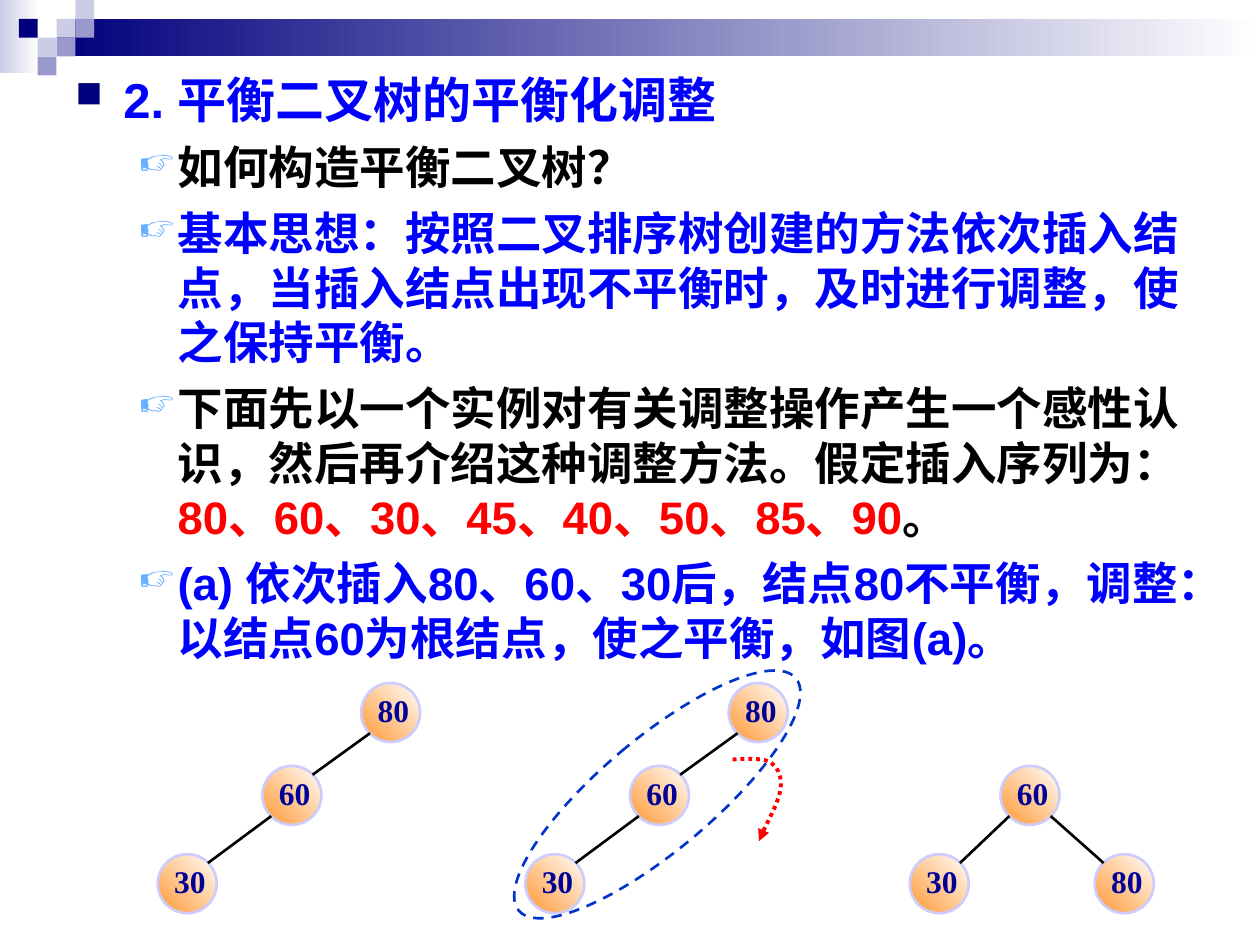
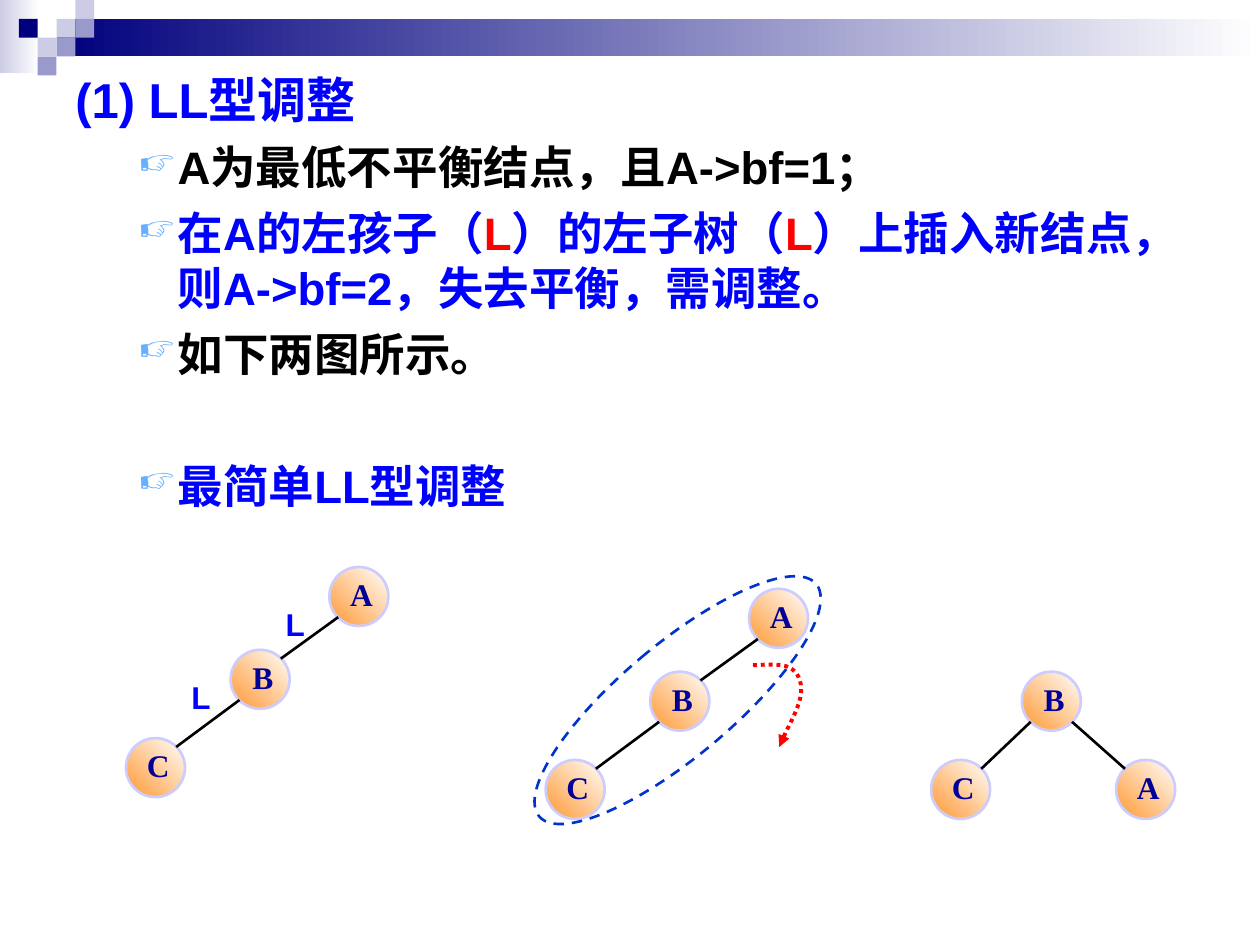
import pptx
import pptx.dml.color
import pptx.enum.dml
import pptx.enum.shapes
import pptx.enum.text
import pptx.oxml.ns
import pptx.util
import lxml.etree

Cm, Pt, qn = pptx.util.Cm, pptx.util.Pt, pptx.oxml.ns.qn
SHAPE = pptx.enum.shapes.MSO_SHAPE
DASH = pptx.enum.dml.MSO_LINE
ALIGN = pptx.enum.text

# Colours
NAVY, LILAC, MAUVE, WHITE = "00007D", "CCCCE6", "9999CC", "FFFFFF"
BLUE, BLACK, RED, SKY = "0000FF", "000000", "FF0000", "67AFFF"
ORANGE, RIM, INK, OVAL = "FF9933", "CCCCFF", "000099", "0033CC"

# Sizes in centimetres
SQUARE = 0.38
NODE = 1.19
NEAR, FAR = 0.15 * NODE, 0.85 * NODE  # where edges touch a node

# Control points of the turning arrow, measured from its start
TURN = [(0.13, 0), (0.56, -0.05), (0.74, 0.05),
        (0.89, 0.13), (0.99, 0.3), (0.97, 0.56),
        (0.94, 0.84), (0.61, 1.42), (0.53, 1.65)]


def hue(code):
    return pptx.dml.color.RGBColor.from_string(code)


def child(node, tag, **attrs):
    return lxml.etree.SubElement(node, qn(tag), attrs)


class Deck:
    def __init__(self):
        self.file = pptx.Presentation()
        self.file.slide_width, self.file.slide_height = Cm(25.4), Cm(19.05)

    def page(self):
        """Start a slide with the shared band and squares."""
        self.slide = self.file.slides.add_slide(self.file.slide_layouts[6])
        self.shapes = self.slide.shapes
        self.block(0, 0, 0.79, 1.47, LILAC, WHITE)
        self.block(1.14, 0.38, 24.26, 0.76, NAVY, WHITE)
        for col, row, tint in [(3, 1, LILAC), (4, 0, LILAC), (4, 1, MAUVE),
                               (2, 2, LILAC), (1, 1, NAVY), (3, 2, MAUVE),
                               (2, 3, MAUVE)]:
            self.block(col * SQUARE, row * SQUARE, SQUARE, SQUARE, tint)

    def block(self, x, y, w, h, tint, fade=None, kind=SHAPE.RECTANGLE, angle=0):
        shape = self.shapes.add_shape(kind, Cm(x), Cm(y), Cm(w), Cm(h))
        shape.shadow.inherit = False
        shape.line.fill.background()
        if fade:
            shape.fill.gradient()
            shape.fill.gradient_angle = angle
            for stop, code in zip(shape.fill.gradient_stops, (tint, fade)):
                stop.color.rgb = hue(code)
        elif tint:
            shape.fill.solid()
            shape.fill.fore_color.rgb = hue(tint)
        else:
            shape.fill.background()
        return shape

    def stroke(self, line, tint, width=1.5, dash=None):
        line.color.rgb = hue(tint)
        line.width = Pt(width)
        if dash:
            line.dash_style = dash

    def style(self, run, size, tint, face="Arial"):
        run.font.name, run.font.size, run.font.bold = face, Pt(size), True
        run.font.color.rgb = hue(tint)

    # Text
    def mark(self, para, left, hang, sign=None, tint=None, size=None):
        """Set the indent and, if there is a sign, the bullet."""
        props = para._p.get_or_add_pPr()
        props.set("marL", str(Cm(left)))
        props.set("indent", str(-Cm(hang)))
        if sign:
            child(child(props, "a:buClr"), "a:srgbClr", val=tint)
            child(props, "a:buSzPct", val=str(size * 1000))
            child(props, "a:buChar", char=sign)

    def body(self, head, square, points):
        """Write a heading and its points, each (gap, runs)."""
        box = self.shapes.add_textbox(Cm(1.27), Cm(1.27), Cm(22.86), Cm(17.78))
        frame = box.text_frame
        frame.word_wrap = True
        frame.text = head
        first = frame.paragraphs[0]
        self.mark(first, 0.97, 0.97, "■" if square else None, NAVY, 75)
        self.style(first.runs[0], 28, BLUE)
        for gap, parts in points:
            para = frame.add_paragraph()
            para.level = 1
            self.mark(para, 2.06, 0.79, "☞", SKY, 80)
            para.space_before = Pt(gap)
            for words, tint in parts:
                run = para.add_run()
                run.text = words
                self.style(run, 26, tint)

    def label(self, x, y, words):
        box = self.shapes.add_textbox(Cm(x), Cm(y), Cm(0.89), Cm(1.02))
        box.text_frame.word_wrap = False
        box.text_frame.text = words
        self.style(box.text_frame.paragraphs[0].runs[0], 18, BLUE)

    # Trees
    def node(self, x, y, name):
        ball = self.block(x, y, NODE, NODE, ORANGE, WHITE, SHAPE.OVAL, 45)
        self.stroke(ball.line, RIM)
        frame = ball.text_frame
        frame.word_wrap = False
        frame.vertical_anchor = ALIGN.MSO_ANCHOR.MIDDLE
        frame.margin_left, frame.margin_top = Cm(0.36), Cm(0.03)
        frame.margin_right, frame.margin_bottom = Cm(0.25), Cm(0.13)
        frame.text = name
        frame.paragraphs[0].alignment = ALIGN.PP_ALIGN.CENTER
        self.style(frame.paragraphs[0].runs[0], 18, INK, "Times New Roman")

    def edge(self, low, high):
        """Join a lower node to its parent at their facing corners."""
        start, end = (FAR, NEAR) if low[0] < high[0] else (NEAR, FAR)
        line = self.shapes.add_connector(
            pptx.enum.shapes.MSO_CONNECTOR.STRAIGHT,
            Cm(low[0] + start), Cm(low[1] + NEAR),
            Cm(high[0] + end), Cm(high[1] + FAR))
        self.stroke(line.line, BLACK)
        child(line._element.spPr, "a:effectLst")

    def tree(self, x, y, names, steps, links):
        spots = [(x + dx, y + dy) for dx, dy in steps]
        for name, spot in zip(names, spots):
            self.node(*spot, name)
        for low, high in links:
            self.edge(spots[low], spots[high])

    def chain(self, x, y, names):
        """Left-leaning tree, named from the bottom up."""
        steps = [(0, 0), (2.11, -1.78), (4.1, -3.45)]
        self.tree(x, y, names, steps, [(0, 1), (1, 2)])

    def fork(self, x, y, names):
        """Balanced tree, named left, root, right."""
        steps = [(0, 0), (1.83, -1.78), (3.73, 0)]
        self.tree(x, y, names, steps, [(0, 1), (2, 1)])

    def turn(self, x, y, names):
        """Left-leaning tree inside a dashed oval with a turning arrow."""
        self.chain(x, y, names)
        oval = self.block(x + 1.53, y - 4.85, 2.26, 7.29, None, kind=SHAPE.OVAL)
        oval.rotation = 50
        self.stroke(oval.line, OVAL, dash=DASH.DASH)
        self.arrow(x + 4.18, y - 1.91)

    def arrow(self, x, y):
        pen = self.shapes.build_freeform(Cm(x), Cm(y))
        pen.add_line_segments([(Cm(x + dx), Cm(y + dy)) for dx, dy in TURN],
                              close=False)
        curve = pen.convert_to_shape()
        curve.shadow.inherit = False
        curve.fill.background()
        self.stroke(curve.line, RED, 2.25, DASH.ROUND_DOT)
        child(curve.line._get_or_add_ln(), "a:tailEnd", type="triangle")
        # Turn each three points into one curve
        track = next(curve._element.iter(qn("a:path")))
        legs = track.findall(qn("a:lnTo"))
        for i in range(0, len(legs), 3):
            bend = child(track, "a:cubicBezTo")
            for leg in legs[i:i + 3]:
                bend.append(leg[0])
                track.remove(leg)


def main():
    deck = Deck()
    gap, wide = 6.5, 44.2

    # Balancing by example
    deck.page()
    deck.body("2. 平衡二叉树的平衡化调整", True, [
        (gap, [("如何构造平衡二叉树？", BLACK)]),
        (gap, [("基本思想：按照二叉排序树创建的方法依次插入结点，当插入结点"
                "出现不平衡时，及时进行调整，使之保持平衡。", BLUE)]),
        (gap, [("下面先以一个实例对有关调整操作产生一个感性认识，然后再介绍"
                "这种调整方法。假定插入序列为：", BLACK),
               ("80、60、30、45、40、50、85、90", RED), ("。", BLACK)]),
        (gap, [("(a) 依次插入80、60、30后，结点80不平衡，调整：以结点60为"
                "根结点，使之平衡，如图(a)。", BLUE)]),
    ])
    keys = ["30", "60", "80"]
    deck.chain(3.18, 17.22, keys)
    deck.turn(10.59, 17.22, keys)
    deck.fork(18.34, 17.22, keys)

    # LL rotation
    deck.page()
    deck.body("(1) LL型调整", False, [
        (gap, [("A为最低不平衡结点，且A->bf=1；", BLACK)]),
        (gap, [("在A的左孩子（", BLUE), ("L", RED), ("）的左子树（", BLUE),
               ("L", RED),
               ("）上插入新结点，则A->bf=2，失去平衡，需调整。", BLUE)]),
        (gap, [("如下两图所示。", BLACK)]),
        (wide, [("最简单LL型调整", BLUE)]),
    ])
    deck.chain(2.54, 14.88, "CBA")
    deck.turn(11, 15.32, "CBA")
    deck.fork(18.77, 15.32, "CBA")
    deck.label(5.51, 12.07, "L")
    deck.label(3.61, 13.54, "L")

    deck.file.save("out.pptx")


if __name__ == "__main__":
    main()
